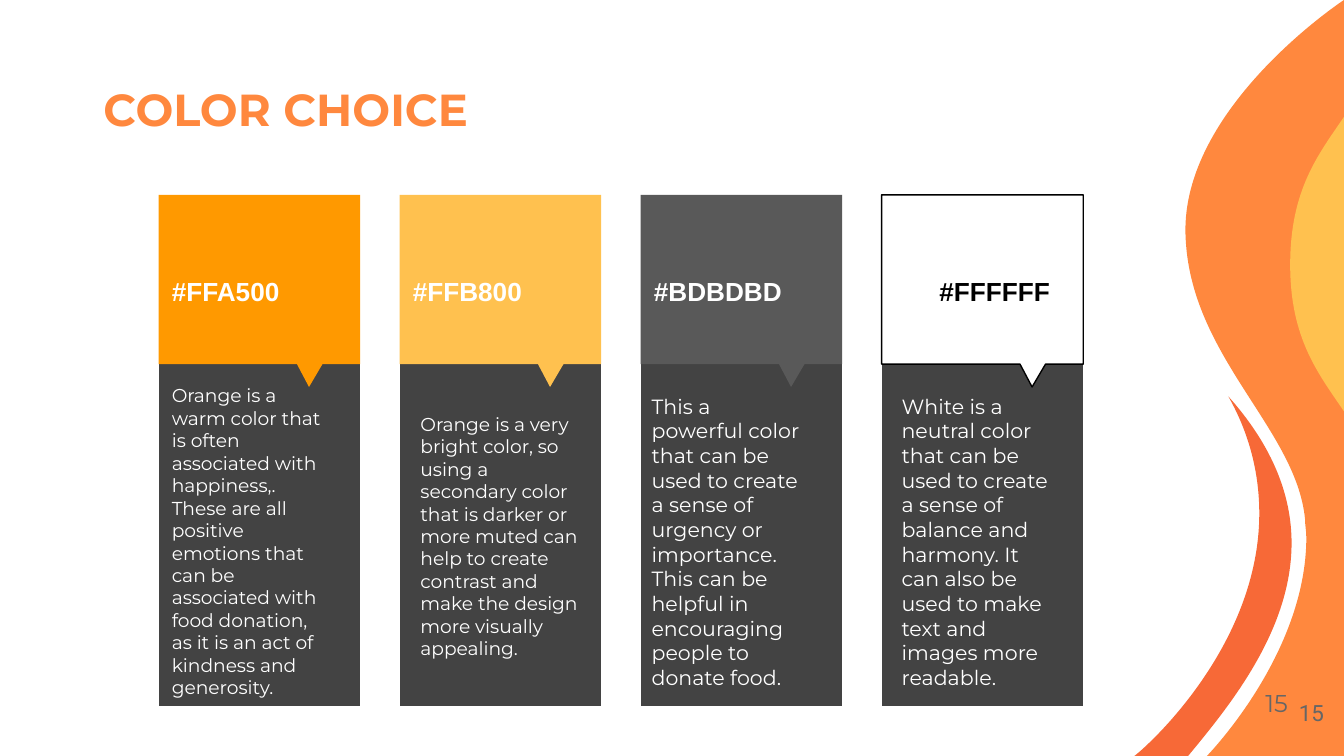
from dataclasses import dataclass

from lxml.etree import SubElement
from pptx import Presentation
from pptx.dml.color import RGBColor as Rgb
from pptx.enum.text import MSO_ANCHOR as Anchor, MSO_AUTO_SIZE as Fit, PP_ALIGN as Align
from pptx.oxml.ns import qn
from pptx.util import Inches, Pt


@dataclass(frozen=True)
class Theme:
    orange: str = "FF883E"
    red: str = "F76937"
    yellow: str = "FFC14F"
    amber: str = "FF9900"
    dark: str = "434343"
    gray: str = "595959"
    mute: str = "666666"
    white: str = "FFFFFF"
    black: str = "000000"
    main: str = "Montserrat"
    code: str = "Arial"
    num: str = "Roboto"
    title: int = 24
    label: int = 14
    page: int = 13
    small: int = 12
    body: int = 11
    tight: int = 10


T = Theme()
WIDTH, HEIGHT = 10, 10 * 9 / 16
LEFT, LAST, WIDE = 1.18, 6.56, 1.5
TOP, MID, BASE = 1.45, 2.71, 5.25

# Each step is a line end (one point) or a curve (two handles and an end).
WAVES = [
    (T.orange, (WIDTH, 0), [
        [(10, 0), (8.83, 0.77), (8.82, 1.7)],
        [(8.82, 2.63), (9.64, 3.17), (9.71, 3.86)],
        [(9.71, 3.91), (9.72, 3.95), (9.72, 4)],
        [(9.72, 4.87), (8.98, HEIGHT), (8.98, HEIGHT)],
        [(WIDTH, HEIGHT)]]),
    (T.red, (9.61, 4.04), [
        [(9.61, 3.7), (9.48, 3.33), (9.14, 2.95)],
        [(9.31, 3.25), (9.37, 3.55), (9.37, 3.82)],
        [(9.37, 4.81), (8.53, 5.56), (8.44, HEIGHT)],
        [(8.84, HEIGHT)],
        [(9.15, 5.25), (9.61, 4.69), (9.61, 4.04)]]),
    (T.yellow, (WIDTH, 0.87), [
        [(9.81, 1.15), (9.6, 1.41), (9.6, 1.97)],
        [(9.6, 2.52), (9.81, 2.78), (10, 3.06)]]),
]

# code, fill, code colour, code inset, note box (left, top, width, height), size, note
CARDS = [
    ("#FFA500", T.amber, T.white, 0.1, (1.18, 2.76, 1.38, 2.56), T.tight,
     "Orange is a warm color that is often associated with happiness,. "
     "These are all positive emotions that can be associated with food "
     "donation, as it is an act of kindness and generosity."),
    ("#FFB800", T.yellow, T.white, 0.1, (3.03, 2.97, 1.38, 2.05), T.tight,
     "Orange is a very bright color, so using a secondary color that is "
     "darker or more muted can help to create contrast and make the design "
     "more visually appealing."),
    ("#BDBDBD", T.gray, T.white, 0.1, (4.75, 2.83, 1.33, 2.42), T.body,
     "This a powerful color that can be used to create a sense of urgency or "
     "importance. This can be helpful in encouraging people to donate food."),
    ("#FFFFFF", T.white, T.black, 0.43, (6.61, 2.83, 1.33, 2.42), T.body,
     "White is a neutral color that can be used to create a sense of balance "
     "and harmony. It can also be used to make text and images more readable."),
]


def write(shape, text, font, size, color, bold=False, align=Align.LEFT,
          anchor=Anchor.TOP, inset=0.1):
    frame = shape.text_frame
    frame.word_wrap = True
    frame.auto_size = Fit.NONE
    frame.vertical_anchor = anchor
    frame.margin_left = Inches(inset)
    frame.margin_right = frame.margin_top = frame.margin_bottom = Inches(0.1)
    para = frame.paragraphs[0]
    para.alignment = align
    run = para.add_run()
    run.text = text
    run.font.name = font
    run.font.size = Pt(size)
    run.font.bold = bold
    run.font.color.rgb = Rgb.from_string(color)


def paint(shape, fill, line=None):
    shape.shadow.inherit = False
    shape.fill.solid()
    shape.fill.fore_color.rgb = Rgb.from_string(fill)
    if line:
        shape.line.color.rgb = Rgb.from_string(line)
        shape.line.width = Pt(0.75)
    else:
        shape.line.fill.background()


def add_form(slide, start, points):
    """Add a closed outline through points given in inches."""
    form = slide.shapes.build_freeform(*map(Inches, start))
    form.add_line_segments([tuple(map(Inches, p)) for p in points])
    return form.convert_to_shape()


def add_wave(slide, fill, start, steps):
    """Add an outline, then merge each run of three lines into a curve."""
    shape = add_form(slide, start, [p for step in steps for p in step])
    lines = list(shape.element.iter(qn("a:lnTo")))
    for step in steps:
        group, lines = lines[:len(step)], lines[len(step):]
        if len(step) == 3:
            curve = SubElement(group[0].getparent(), qn("a:cubicBezTo"))
            group[0].addprevious(curve)
            for line in group:
                curve.append(line[0])
                line.getparent().remove(line)
    paint(shape, fill)


def add_text(slide, box, *args, **style):
    write(slide.shapes.add_textbox(*map(Inches, box)), *args, **style)


def add_card(slide, left, code, fill, ink, inset):
    right = left + WIDE
    panel = add_form(slide, (left, MID),
                     [(left, BASE), (right, BASE), (right, MID)])
    paint(panel, T.dark)
    head = add_form(slide, (left, TOP), [
        (left, MID), (left + 1.03, MID), (left + 1.12, 2.88),
        (left + 1.22, MID), (right, MID), (right, TOP)])
    paint(head, fill, T.black if fill == T.white else None)
    write(head, code, T.code, T.label, ink, bold=True,
          anchor=Anchor.MIDDLE, inset=inset)


def add_title(slide, text):
    title = slide.shapes.title
    title.left, title.top, title.width, title.height = map(
        Inches, (0.67, 0.57, 4.25, 0.54))
    write(title, text, T.main, T.title, T.orange, bold=True,
          anchor=Anchor.BOTTOM)


def main():
    deck = Presentation()
    deck.slide_width, deck.slide_height = Inches(WIDTH), Inches(HEIGHT)
    slide = deck.slides.add_slide(deck.slide_layouts[5])
    for wave in WAVES:
        add_wave(slide, *wave)
    add_title(slide, "COLOR CHOICE")
    add_text(slide, (9.35, 5.1, 0.6, 0.43), "15", T.num, T.small, T.mute,
             align=Align.RIGHT)
    add_text(slide, (9.08, 5.02, 0.6, 0.43), "15", T.main, T.page, T.mute,
             align=Align.RIGHT)
    pitch = (LAST - LEFT) / (len(CARDS) - 1)
    for i, (code, fill, ink, inset, box, size, note) in enumerate(CARDS):
        add_card(slide, LEFT + i * pitch, code, fill, ink, inset)
        add_text(slide, box, note, T.main, size, T.white)
    deck.save("out.pptx")


if __name__ == "__main__":
    main()
